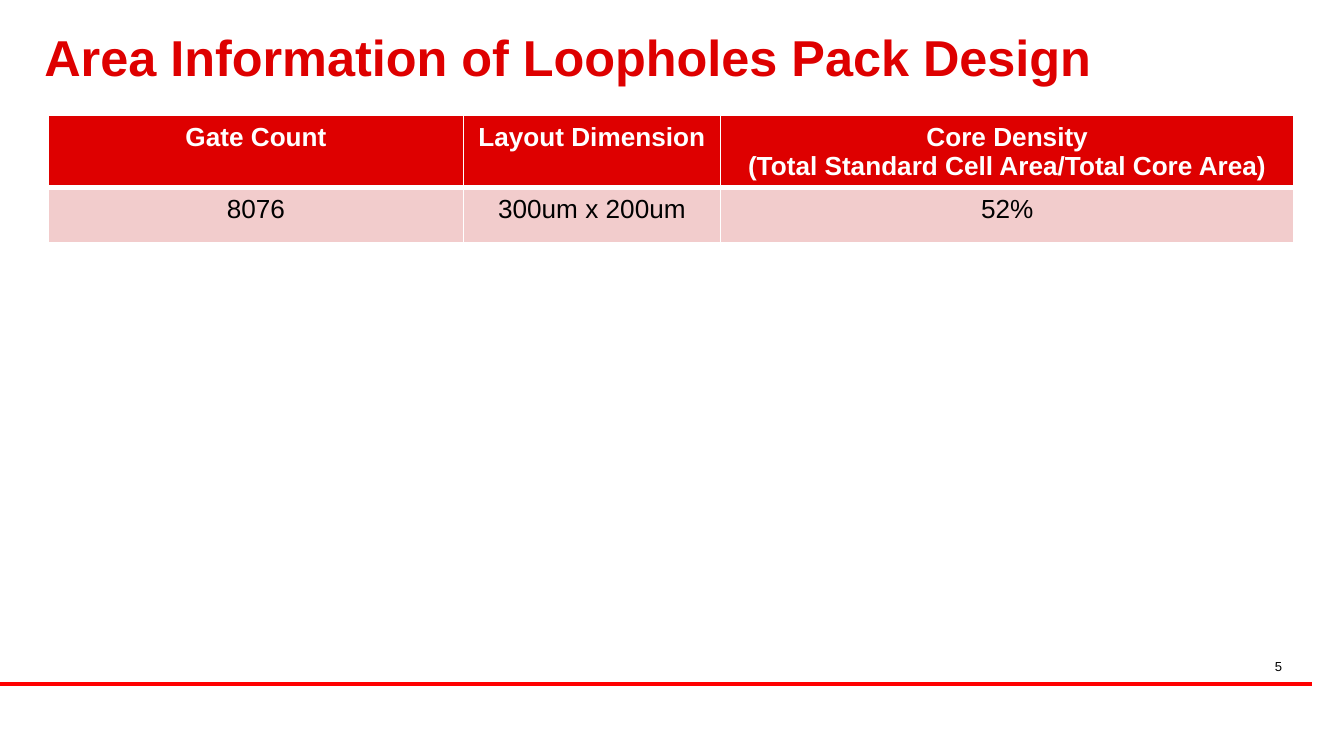
from lxml.etree import SubElement as Sub
from pptx import Presentation
from pptx.dml.color import RGBColor
from pptx.enum.shapes import MSO_CONNECTOR as Link
from pptx.enum.text import MSO_ANCHOR as Anchor, PP_ALIGN as Align
from pptx.oxml.ns import qn
from pptx.util import Inches, Pt

RED = RGBColor(0xDE, 0x00, 0x00)
RULE = RGBColor(0xFF, 0x00, 0x00)
PINK = RGBColor(0xF2, 0xCC, 0xCC)
WHITE = RGBColor(0xFF, 0xFF, 0xFF)
BLACK = RGBColor(0x00, 0x00, 0x00)

WIDTH = 10
COLS = [3.09, 1.91, 4.27]
ROWS = [0.52, 0.41]
HEAD = [
    ["Gate Count"],
    ["Layout Dimension"],
    ["Core Density", "(Total Standard Cell Area/Total Core Area)"],
]
BODY = [["8076"], ["300um x 200um"], ["52%"]]


def write(frame, lines, size, color, bold=False, align=Align.LEFT, space=1.0):
    """Write each line as one paragraph with a single styled run."""
    for i, line in enumerate(lines):
        para = frame.add_paragraph() if i else frame.paragraphs[0]
        para.alignment = align
        para.line_spacing = space
        run = para.add_run()
        run.text = line
        font = run.font
        font.name = "Arial"
        font.size = Pt(size)
        font.bold = bold
        font.color.rgb = color


def add_text(slide, box, text, size, color, anchor=Anchor.TOP, **style):
    """Add a wrapped text box."""
    frame = slide.shapes.add_textbox(*map(Inches, box)).text_frame
    frame.word_wrap = True
    frame.vertical_anchor = anchor
    frame.margin_left = frame.margin_right = Inches(0.08)
    frame.margin_top = frame.margin_bottom = Inches(0.04)
    write(frame, [text], size, color, **style)


def add_rule(slide, left, right, top):
    """Add the flat red footer rule."""
    ends = map(Inches, (left, top, right, top))
    rule = slide.shapes.add_connector(Link.STRAIGHT, *ends)
    rule.line.color.rgb = RULE
    rule.line.width = Pt(2.25)
    Sub(rule._element.spPr, qn("a:effectLst"))


def set_edges(cell, widths):
    """Draw white cell borders with the given widths in points."""
    props = cell._tc.get_or_add_tcPr()
    for i, (side, width) in enumerate(widths.items()):
        edge = props.makeelement(qn("a:ln" + side), {"w": str(Pt(width))})
        fill = Sub(edge, qn("a:solidFill"))
        Sub(fill, qn("a:srgbClr"), val=str(WHITE))
        props.insert(i, edge)


def fill_row(table, row, texts, fill, color, bold, edges):
    """Fill one table row with centred text."""
    for col, lines in enumerate(texts):
        cell = table.cell(row, col)
        cell.margin_bottom = Inches(0.02)
        cell.fill.solid()
        cell.fill.fore_color.rgb = fill
        write(cell.text_frame, lines, 14, color, bold, Align.CENTER)
        set_edges(cell, edges)


def add_table(slide, left, top):
    """Add the area table with its header and value rows."""
    box = map(Inches, (left, top, sum(COLS), sum(ROWS)))
    table = slide.shapes.add_table(len(ROWS), len(COLS), *box).table
    for col, width in zip(table.columns, COLS):
        col.width = Inches(width)
    for row, height in zip(table.rows, ROWS):
        row.height = Inches(height)
    thin = dict.fromkeys("LRTB", 1)
    fill_row(table, 0, HEAD, RED, WHITE, True, thin | {"B": 3})
    fill_row(table, 1, BODY, PINK, BLACK, False, thin | {"T": 3})


def main():
    """Build the slide and save it."""
    deck = Presentation()
    deck.slide_width = Inches(WIDTH)
    deck.slide_height = Inches(WIDTH * 9 / 16)
    slide = deck.slides.add_slide(deck.slide_layouts[6])
    add_rule(slide, 0, 9.76, 5.09)
    add_text(slide, (0.25, 0.12, 9.25, 0.67),
             "Area Information of Loopholes Pack Design",
             27, RED, Anchor.MIDDLE, bold=True, space=0.85)
    add_table(slide, 0.36, 0.86)
    add_text(slide, (7.29, 4.86, 2.33, 0.17), "5", 7, BLACK, align=Align.RIGHT)
    deck.save("out.pptx")


if __name__ == "__main__":
    main()
